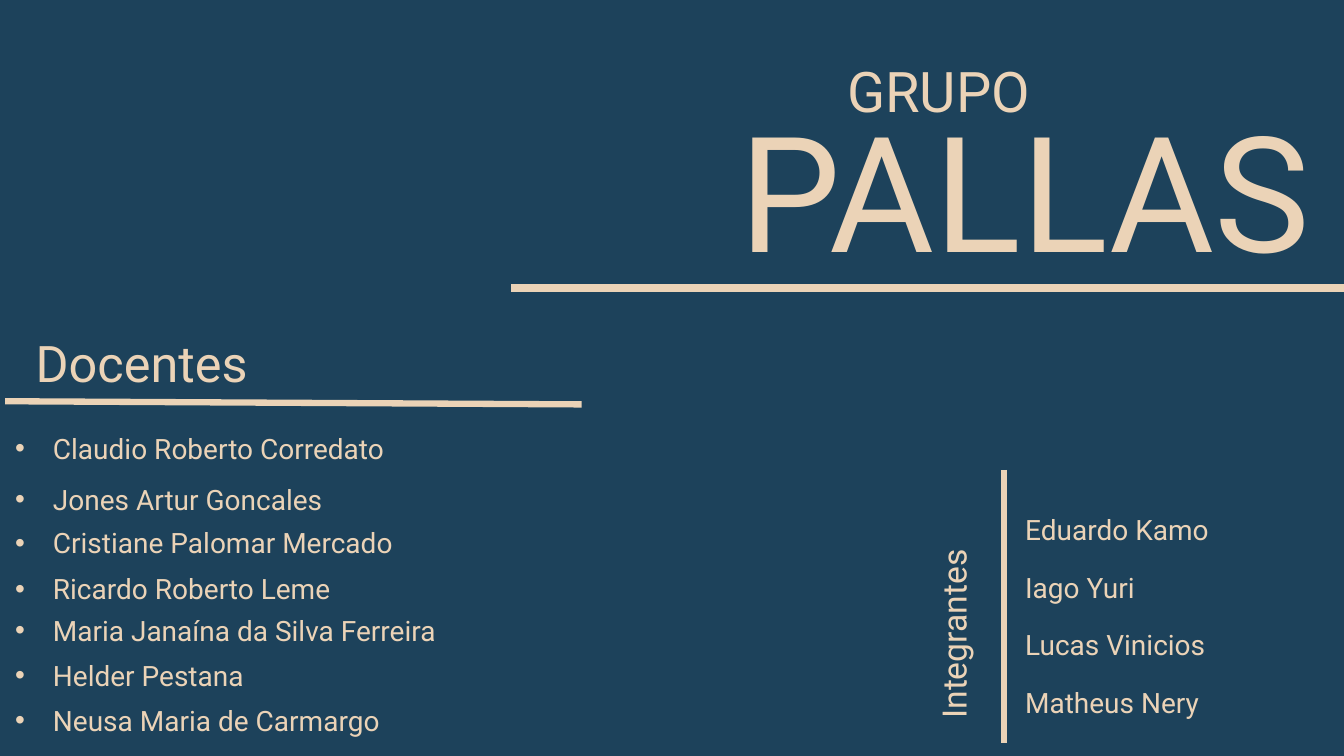
from dataclasses import dataclass

from lxml.etree import SubElement
from pptx import Presentation
from pptx.dml.color import RGBColor
from pptx.enum.shapes import MSO_CONNECTOR as Conn
from pptx.enum.text import MSO_ANCHOR as Anchor, MSO_AUTO_SIZE as AutoSize, PP_ALIGN as Align
from pptx.oxml.ns import qn
from pptx.util import Cm, Pt


@dataclass(frozen=True)
class Theme:
    background: RGBColor = RGBColor(0x1D, 0x42, 0x5B)
    sand: RGBColor = RGBColor(0xEB, 0xD3, 0xB7)
    font: str = "Roboto"
    title: float = 115
    group: float = 40
    heading: float = 36
    label: float = 24
    body: float = 20


@dataclass(frozen=True)
class Box:
    """Position and size in centimetres."""
    x: float
    y: float
    w: float
    h: float


@dataclass(frozen=True)
class Rule:
    """Straight line: ends in centimetres, width in points."""
    x1: float
    y1: float
    x2: float
    y2: float
    width: float


@dataclass(frozen=True)
class Item:
    """List entry with the space above it in points."""
    text: str
    before: float = 0


THEME = Theme()
SLIDE_W, SLIDE_H = 33.87, 19.05

RULES = [
    Rule(12.88, 7.26, SLIDE_W, 7.26, 6),
    Rule(0.13, 10.11, 14.66, 10.19, 4.5),
    Rule(25.3, 11.84, 25.3, 18.72, 4.5),
]

TEACHERS = [
    Item("Claudio Roberto Corredato"),
    Item("Jones Artur Goncales", 12.3),
    Item("Cristiane Palomar Mercado", 7.3),
    Item("Ricardo Roberto Leme", 8.6),
    Item("Maria Janaína da Silva Ferreira", 5.9),
    Item("Helder Pestana", 8),
    Item("Neusa Maria de Carmargo", 8),
]

MEMBER_GAP = 17.3
MEMBERS = [
    Item(name, MEMBER_GAP if i else 0)
    for i, name in enumerate(["Eduardo Kamo", "Iago Yuri", "Lucas Vinicios", "Matheus Nery"])
]


def place(s, box: Box):
    """Move a shape to its box and return its text frame."""
    s.left, s.top, s.width, s.height = Cm(box.x), Cm(box.y), Cm(box.w), Cm(box.h)
    tf = s.text_frame
    tf.word_wrap = True
    tf.auto_size = AutoSize.NONE
    tf.vertical_anchor = Anchor.TOP
    return tf


def write(p, text: str, *, size: float, align=Align.LEFT, before: float = 0) -> None:
    """Fill a paragraph with one formatted run."""
    p.alignment = align
    p.space_before = Pt(before)
    r = p.add_run()
    r.text = text
    r.font.name = THEME.font
    r.font.size = Pt(size)
    r.font.color.rgb = THEME.sand


def set_bullet(p, char: str = "") -> None:
    """Give a paragraph a hanging bullet, or none when char is empty."""
    indent = Cm(0.95) if char else 0
    pPr = p._p.get_or_add_pPr()
    pPr.set("marL", str(indent))
    pPr.set("indent", str(-indent))
    if char:
        SubElement(pPr, qn("a:buFont")).set("typeface", "Arial")
        SubElement(pPr, qn("a:buChar")).set("char", char)
    else:
        SubElement(pPr, qn("a:buNone"))


def write_list(s, box: Box, items: list[Item], bullet: str = "") -> None:
    tf = place(s, box)
    for i, item in enumerate(items):
        p = tf.add_paragraph() if i else tf.paragraphs[0]
        set_bullet(p, bullet)
        write(p, item.text, size=THEME.body, before=item.before)


def add_label(slide, box: Box, text: str, *, size: float, align=Align.LEFT,
              vertical: bool = False) -> None:
    tf = place(slide.shapes.add_textbox(0, 0, 0, 0), box)
    if vertical:
        tf._txBody.bodyPr.set("vert", "vert270")
    write(tf.paragraphs[0], text, size=size, align=align)


def add_rule(slide, rule: Rule) -> None:
    s = slide.shapes.add_connector(
        Conn.STRAIGHT, Cm(rule.x1), Cm(rule.y1), Cm(rule.x2), Cm(rule.y2))
    s.line.color.rgb = THEME.sand
    s.line.width = Pt(rule.width)
    SubElement(s._element.spPr, qn("a:effectLst"))


def main() -> None:
    prs = Presentation()
    prs.slide_width, prs.slide_height = Cm(SLIDE_W), Cm(SLIDE_H)
    slide = prs.slides.add_slide(prs.slide_layouts.get_by_name("Two Content"))
    slide.background.fill.solid()
    slide.background.fill.fore_color.rgb = THEME.background
    title, teachers, members = list(slide.placeholders)[:3]

    # Group name
    tf = place(title, Box(14.35, 2.18, 18.92, 5.18))
    write(tf.paragraphs[0], "PALLAS", size=THEME.title, align=Align.RIGHT)
    add_label(slide, Box(19.86, 1.3, 6.35, 1.96), "GRUPO", size=THEME.group, align=Align.RIGHT)

    # Dividing lines
    for rule in RULES:
        add_rule(slide, rule)

    # Teachers
    add_label(slide, Box(0.65, 8.25, 12.19, 1.75), "Docentes", size=THEME.heading)
    write_list(teachers, Box(0.13, 10.74, 14.8, 7.85), TEACHERS, bullet="•")

    # Members
    add_label(slide, Box(23.39, 12.14, 1.55, 6.22), "Integrantes", size=THEME.label, vertical=True)
    write_list(members, Box(25.58, 12.78, 6.4, 5.46), MEMBERS)

    prs.save("out.pptx")


if __name__ == "__main__":
    main()
